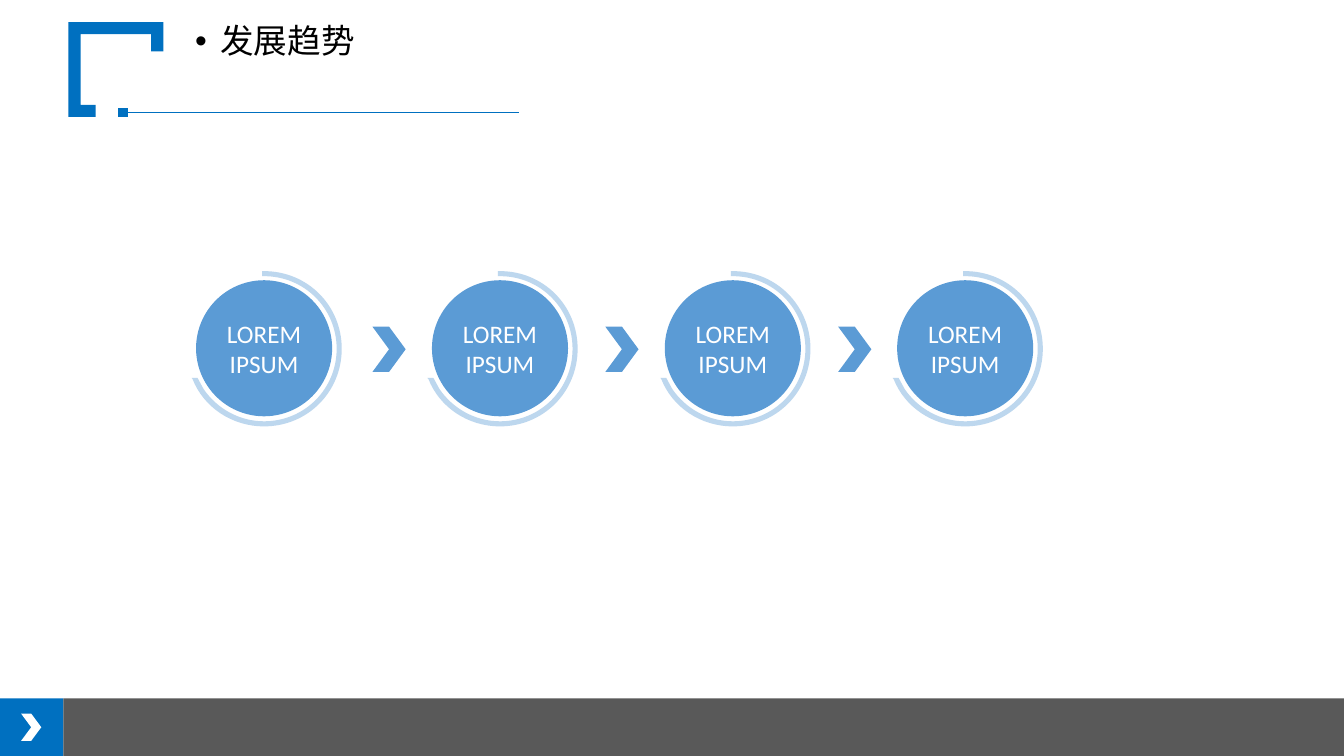
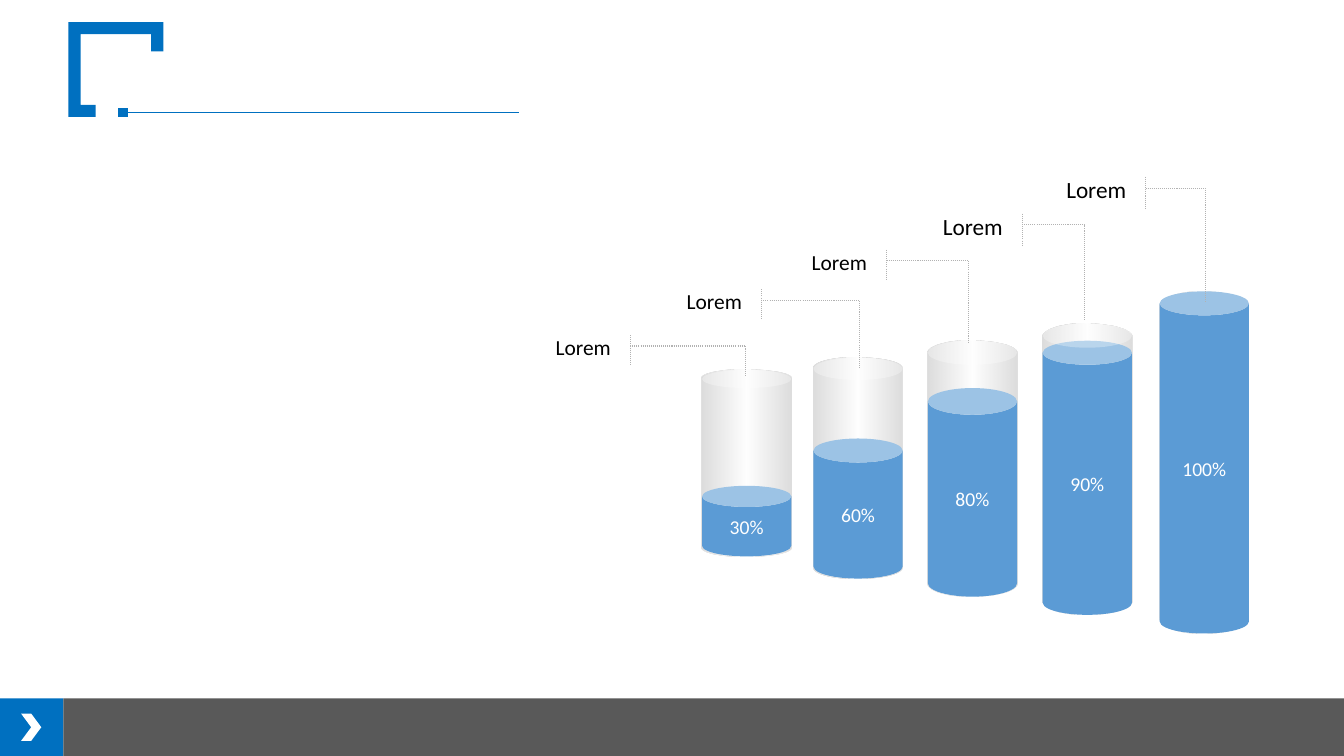
from dataclasses import dataclass

from lxml.etree import SubElement
from pptx import Presentation
from pptx.dml.color import RGBColor
from pptx.enum.dml import MSO_LINE
from pptx.enum.shapes import MSO_CONNECTOR, MSO_SHAPE
from pptx.enum.text import MSO_ANCHOR, MSO_AUTO_SIZE, PP_ALIGN
from pptx.oxml.ns import qn
from pptx.util import Inches, Pt


@dataclass(frozen=True)
class Theme:
    font: str = "Calibri"
    brand: str = "0070C0"
    footer: str = "595959"
    accent: str = "5B9BD5"
    ring: str = "BDD7EE"
    glass: str = "BABABA"
    leader: str = "B2B2B2"
    white: str = "FFFFFF"
    black: str = "000000"
    title_size: float = 24
    step_size: float = 18
    value_size: float = 14
    label_size: float = 15.3
    large_label_size: float = 16.6


THEME = Theme()
WIDTH, HEIGHT = 133.33, 75  # grid columns and rows, ten to the inch

STEP_LEFTS = (19.45, 42.85, 65.95, 89)
ARROW_LEFTS = (36.95, 60.05, 83.15)

# Fill level, left, top, bottom, rim depth, liquid top, liquid rim share
JARS = [
    ("30%", 69.65, 36.7, 55.2, 0.9, 48.2, 0.3),
    ("60%", 80.7, 35.5, 57.4, 1.1, 43.5, 0.27),
    ("80%", 92.05, 33.8, 59.2, 1.3, 38.5, 0.3),
    ("90%", 103.45, 32.1, 61, 1.4, 33.8, 0.27),
    ("100%", 115.05, 28.9, 62.85, 1.6, 28.9, 0.27),
]
JAR_WIDTH = 8.85

# Label left, top, width, height, leader end column and row, type size
LABELS = [
    (38.5, 33.25, 23.1, 3, 73.95, 37.4, THEME.label_size),
    (51.5, 28.7, 23.1, 3, 85.25, 36.6, THEME.label_size),
    (63.2, 24.8, 23.8, 3, 96.1, 34, THEME.label_size),
    (76.75, 21.2, 23.7, 3.1, 107.6, 31.8, THEME.large_label_size),
    (89, 17.55, 23.7, 3.1, 119.6, 30, THEME.large_label_size),
]


def cells(count):
    return Inches(count / 10)


def color(value):
    return RGBColor.from_string(value)


def paint(shape, fill):
    shape.shadow.inherit = False
    shape.line.fill.background()
    if fill:
        shape.fill.solid()
        shape.fill.fore_color.rgb = color(fill)
    else:
        shape.fill.background()
    return shape


def add_preset(page, kind, left, top, width, height, fill=None):
    shape = page.shapes.add_shape(kind, *map(cells, (left, top, width, height)))
    return paint(shape, fill)


def add_outline(page, start, segments, fill, origin=(0, 0)):
    """Draw segments of one point (line) or three points (Bezier curve)."""
    def place(point):
        return tuple(cells(a + b) for a, b in zip(origin, point))

    builder = page.shapes.build_freeform(*place(start))
    builder.add_line_segments(
        [place(point) for segment in segments for point in segment], close=True)
    shape = builder.convert_to_shape()
    lines = iter(shape.element.xpath(".//a:path/a:lnTo"))
    for segment in segments:
        first = next(lines)
        if len(segment) == 3:
            first.tag = qn("a:cubicBezTo")
            for _ in range(2):
                control = next(lines)
                first.append(control[0])
                control.getparent().remove(control)
    return paint(shape, fill)


def write(shape, text, size, ink, align=PP_ALIGN.CENTER, anchor=MSO_ANCHOR.MIDDLE):
    frame = shape.text_frame
    frame.word_wrap = True
    frame.auto_size = MSO_AUTO_SIZE.NONE
    frame.vertical_anchor = anchor
    para = frame.paragraphs[0]
    para.text = text
    para.alignment = align
    para.font.name = THEME.font
    para.font.size = Pt(size)
    para.font.color.rgb = color(ink)
    return para


def set_alpha(color_node, percent):
    SubElement(color_node, qn("a:alpha"), val=str(percent * 1000))


# Shared frame, kept on the layout
def add_frame(page, layout):
    footer_top, corner = 69.3, 6.3
    footer_height = HEIGHT - footer_top
    add_preset(page, MSO_SHAPE.RECTANGLE, 0, footer_top, corner, footer_height,
               THEME.brand)
    add_preset(page, MSO_SHAPE.RECTANGLE, corner, footer_top, WIDTH - corner,
               footer_height, THEME.footer)
    add_preset(page, MSO_SHAPE.CHEVRON, 2.1, 70.8, 2, 2.7, THEME.white)
    bracket = [(16.2, 2.2), (16.2, 5.1), (15, 5.1), (15, 3.4), (8, 3.4),
               (8, 10.4), (9.5, 10.4), (9.5, 11.6), (6.8, 11.6)]
    add_outline(page, (6.8, 2.2), [(point,) for point in bracket], THEME.brand)
    rule = page.shapes.add_connector(
        MSO_CONNECTOR.STRAIGHT, *map(cells, (12.1, 11.1, 51.5, 11.1)))
    rule.line.color.rgb = color(THEME.brand)
    rule.line.width = Pt(0.5)
    SubElement(rule.element.spPr, qn("a:effectLst"))
    marker = add_preset(page, MSO_SHAPE.RECTANGLE, 11.8, 10.75, 0.8, 0.8, THEME.brand)
    marker.line.color.rgb = color(THEME.brand)
    marker.line.width = Pt(1)
    SubElement(marker.element.spPr.xpath("./a:ln")[0], qn("a:miter"), lim="800000")

    parts = [shape for shape in page.shapes if not shape.is_placeholder]
    for number, part in enumerate(parts, start=100):
        part.element.xpath(".//p:cNvPr")[0].set("id", str(number))
        layout.shapes.element.append(part.element)


def add_title(page, text):
    title = page.shapes.title
    title.left, title.top, title.width, title.height = map(
        cells, (18.35, 1.95, 87.9, 8.6))
    para = write(title, text, THEME.title_size, THEME.black, PP_ALIGN.LEFT,
                 MSO_ANCHOR.TOP)
    para.line_spacing = 0.9
    para.space_before = Pt(10)
    props = para._p.get_or_add_pPr()
    props.set("marL", str(cells(2.5)))
    props.set("indent", str(-cells(2.5)))
    SubElement(props, qn("a:buFont"), typeface="Arial")
    SubElement(props, qn("a:buChar"), char="•")


# Process steps
def add_step(page, left, text):
    top, size = 27.8, 13.5
    disc = add_preset(page, MSO_SHAPE.OVAL, left, top, size, size, THEME.accent)
    disc.text_frame.margin_left = disc.text_frame.margin_right = cells(0.5)
    write(disc, text, THEME.step_size, THEME.white)

    ring = [
        ((4.3, -7.7), (7.7, -4.3), (7.7, 0)),
        ((7.7, 4.3), (4.3, 7.7), (0, 7.7)),
        ((-3.2, 7.7), (-6, 5.8), (-7.1, 3)),
        ((-7.2, 2.9),), ((-6.6, 2.9),), ((-6, 4),),
        ((-4.7, 5.9), (-2.5, 7.2), (0, 7.2)),
        ((4, 7.2), (7.2, 4), (7.2, 0)),
        ((7.2, -4), (4, -7.2), (0, -7.2)),
        ((-0.2, -7.2),), ((-0.2, -7.7),),
    ]
    add_outline(page, (0, -7.7), ring, THEME.ring, (left + size / 2, top + 6.8))


def add_steps(page, text):
    for left in STEP_LEFTS:
        add_step(page, left, text)
    for left in ARROW_LEFTS:
        add_preset(page, MSO_SHAPE.CHEVRON, left, 32.4, 3.3, 4.5, THEME.accent)


# Filled jars
def shade_glass(shape):
    shape.fill.gradient()
    shape.fill.gradient_angle = 0
    stops = shape.element.xpath(".//a:gsLst")[0]
    for stop in list(stops):
        stops.remove(stop)
    for position, tint in ((0, THEME.glass), (50, THEME.white), (100, THEME.glass)):
        stop = SubElement(stops, qn("a:gs"), pos=str(position * 1000))
        set_alpha(SubElement(stop, qn("a:srgbClr"), val=tint), 50)


def add_glass(page, left, top, bottom, depth):
    right, height = JAR_WIDTH, bottom - top
    shoulder, foot = depth, height - depth
    sides = [
        ((0, shoulder), (0, height / 2), (0, foot)),
        ((0.2, height - depth / 4), (2.7, height), (4.2, height)),
        ((5.7, height), (8.6, height - depth / 5), (right, foot)),
        ((right, height / 2), (right, shoulder), (right, shoulder)),
        ((8.7, depth / 6), (5.4, 0), (3.9, 0)),
        ((2.4, 0), (0, depth / 3), (0, shoulder)),
    ]
    shade_glass(add_outline(page, (0, shoulder), sides, THEME.white, (left, top)))


def add_jar(page, level, left, top, bottom, depth, liquid_top, liquid_rim):
    add_glass(page, left, top, bottom, depth)
    liquid = add_preset(page, MSO_SHAPE.CAN, left, liquid_top, JAR_WIDTH,
                        bottom - liquid_top, THEME.accent)
    liquid.adjustments[0] = liquid_rim
    write(liquid, level, THEME.value_size, THEME.white)
    if liquid_top > top:
        lid = add_preset(page, MSO_SHAPE.OVAL, left, top, JAR_WIDTH,
                         min(2 * depth, 2.4), THEME.white)
        set_alpha(lid.element.spPr.xpath("./a:solidFill/a:srgbClr")[0], 30)


def add_label(page, text, left, top, width, height, end_x, end_y, size):
    label = add_preset(page, MSO_SHAPE.LINE_CALLOUT_2_ACCENT_BAR,
                       left, top, width, height)
    label.line.color.rgb = color(THEME.leader)
    label.line.width = Pt(0.75)
    label.line.dash_style = MSO_LINE.ROUND_DOT
    knee_y, reach = 0.36, (end_x - left) / width
    bends = (knee_y, 1.04, knee_y, reach, (end_y - top) / height, reach)
    for index, bend in enumerate(bends):
        label.adjustments[index] = bend
    write(label, text, size, THEME.black, PP_ALIGN.RIGHT).line_spacing = 0.7


def add_jars(page):
    for jar in JARS:
        add_jar(page, *jar)
    for label in LABELS:
        add_label(page, "Lorem", *label)


def main():
    deck = Presentation()
    deck.slide_width, deck.slide_height = cells(WIDTH), cells(HEIGHT)
    layout = deck.slide_layouts[5]

    # Trend steps
    page = deck.slides.add_slide(layout)
    add_frame(page, layout)
    add_title(page, "发展趋势")
    add_steps(page, "LOREM IPSUM")

    # Fill levels
    page = deck.slides.add_slide(layout)
    empty_title = page.shapes.title.element
    empty_title.getparent().remove(empty_title)
    add_jars(page)

    deck.save("out.pptx")


main()
